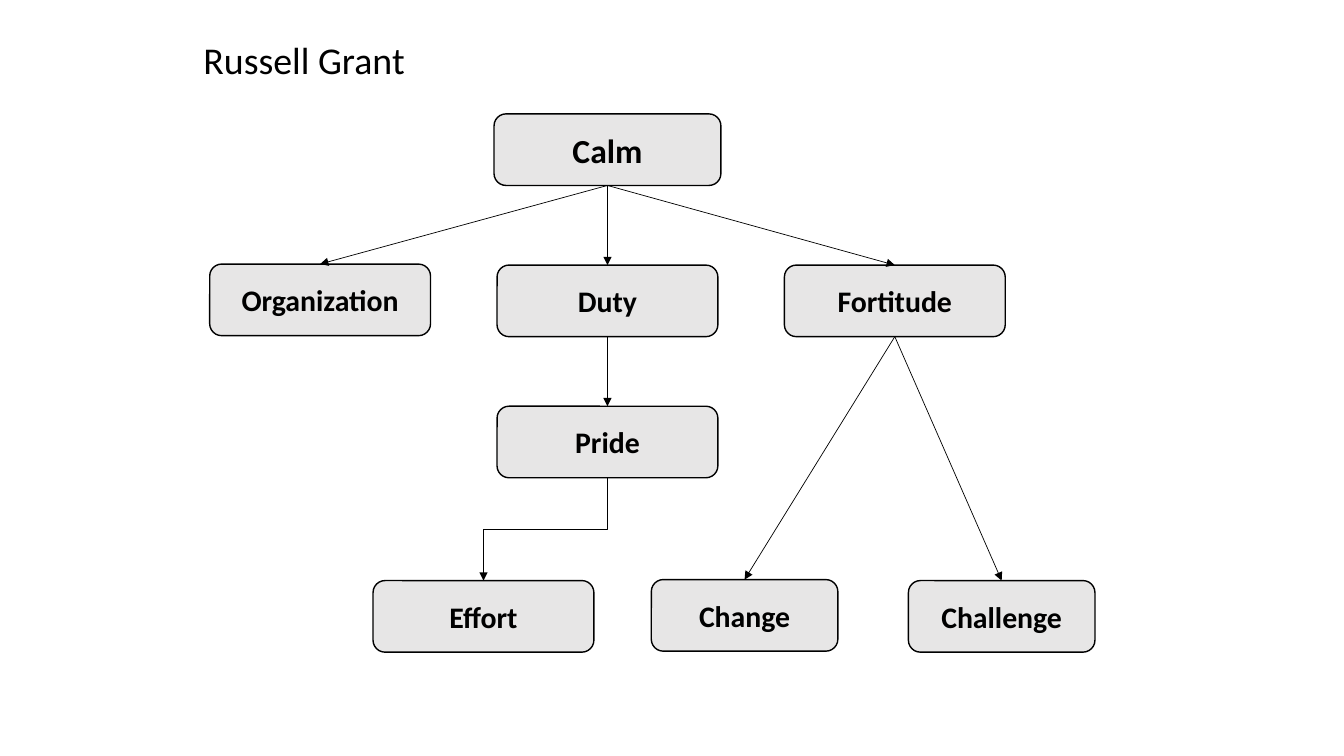
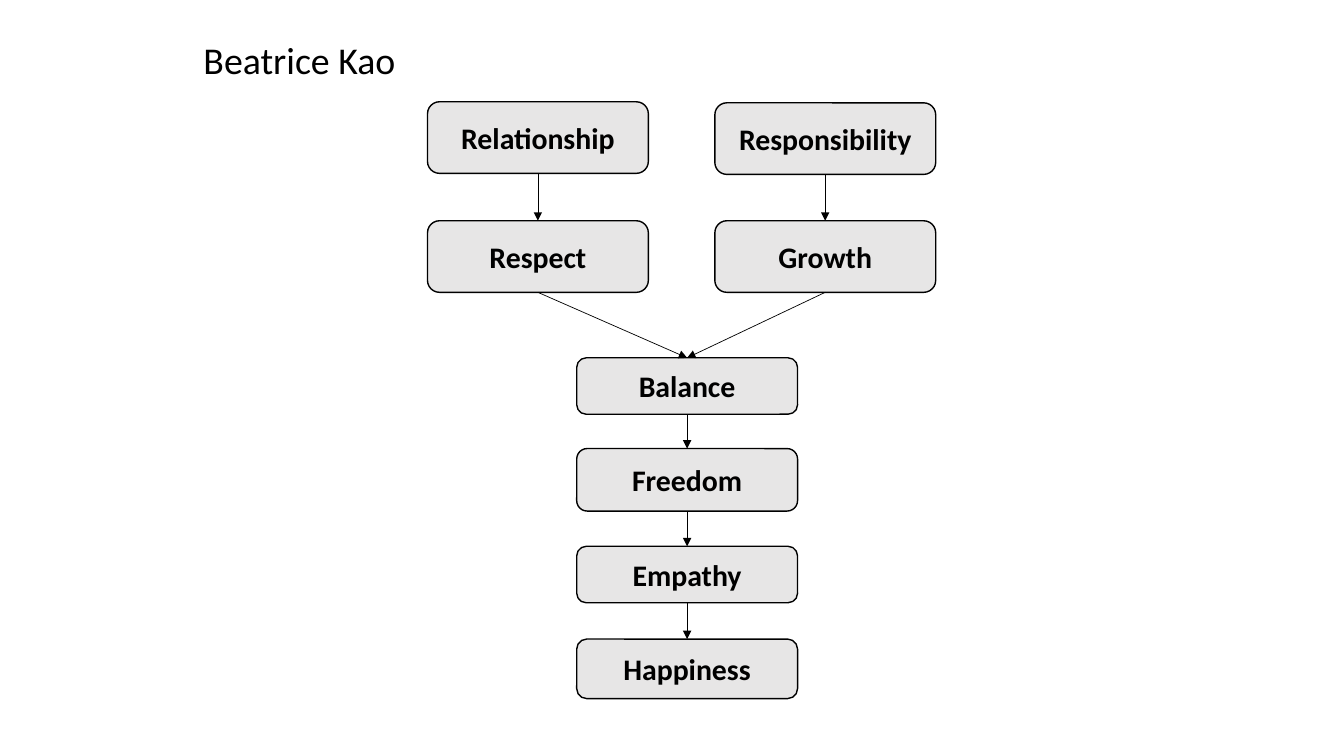
from lxml.etree import SubElement
from pptx import Presentation
from pptx.dml.color import RGBColor
from pptx.enum.shapes import MSO_CONNECTOR, MSO_SHAPE
from pptx.enum.text import MSO_ANCHOR, PP_ALIGN
from pptx.oxml.ns import qn
from pptx.util import Inches, Pt

INK, FILL, FONT = "000000", "E7E6E6", "Calibri"
WIDE, SLIM, TALL = 2.19, 1.85, 0.71
BOTTOM, TOP = 2, 0  # connection sites of a rounded rectangle

# Boxes: text, left, top, width, height, text size
# Arrows: from box, to box, and whether the line is straight
CHARTS = [
    {
        "title": "Russell Grant",
        "boxes": [
            ("Calm", 4.9, 1.13, 2.25, TALL, 24),
            ("Organization", 2.08, 2.62, WIDE, TALL, 21.3),
            ("Duty", 4.93, 2.63, WIDE, TALL, 21.3),
            ("Fortitude", 7.78, 2.63, WIDE, TALL, 21.3),
            ("Pride", 4.93, 4.03, WIDE, TALL, 21.3),
            ("Effort", 3.7, 5.76, WIDE, TALL, 21.3),
            ("Change", 6.46, 5.75, SLIM, TALL, 21.3),
            ("Challenge", 9.01, 5.76, SLIM, TALL, 21.3),
        ],
        "arrows": [
            ("Calm", "Organization", True),
            ("Calm", "Duty", True),
            ("Calm", "Fortitude", True),
            ("Duty", "Pride", True),
            ("Pride", "Effort", False),
            ("Fortitude", "Change", True),
            ("Fortitude", "Challenge", True),
        ],
    },
    {
        "title": "Beatrice Kao",
        "boxes": [
            ("Relationship", 4.24, 1.01, WIDE, TALL, 21.3),
            ("Responsibility", 7.09, 1.02, WIDE, TALL, 21.3),
            ("Respect", 4.24, 2.19, WIDE, TALL, 21.3),
            ("Growth", 7.09, 2.19, WIDE, TALL, 21.3),
            ("Balance", 5.72, 3.55, WIDE, 0.56, 21.3),
            ("Freedom", 5.72, 4.45, WIDE, 0.62, 21.3),
            ("Empathy", 5.72, 5.42, WIDE, 0.56, 21.3),
            ("Happiness", 5.72, 6.34, WIDE, 0.59, 21.3),
        ],
        "arrows": [
            ("Relationship", "Respect", True),
            ("Responsibility", "Growth", True),
            ("Respect", "Balance", True),
            ("Growth", "Balance", True),
            ("Balance", "Freedom", True),
            ("Freedom", "Empathy", True),
            ("Empathy", "Happiness", True),
        ],
    },
]


def color(hex_code):
    return RGBColor.from_string(hex_code)


def write(shape, text, align, **style):
    frame = shape.text_frame
    frame.word_wrap = True
    frame.vertical_anchor = MSO_ANCHOR.MIDDLE
    para = frame.paragraphs[0]
    para.alignment = align
    run = para.add_run()
    run.text = text
    for name, value in {"name": FONT, **style}.items():
        setattr(run.font, name, value)
    run.font.color.rgb = color(INK)


def draw_line(line, width):
    line.color.rgb = color(INK)
    line.width = Pt(width)


def add_title(slide, text):
    box = slide.shapes.add_textbox(*map(Inches, (1.92, 0.32, 7.86, 0.53)))
    write(box, text, PP_ALIGN.LEFT, size=Pt(27))


def add_box(slide, text, left, top, width, height, size):
    place = map(Inches, (left, top, width, height))
    box = slide.shapes.add_shape(MSO_SHAPE.ROUNDED_RECTANGLE, *place)
    box.shadow.inherit = False
    box.fill.solid()
    box.fill.fore_color.rgb = color(FILL)
    draw_line(box.line, 1)
    write(box, text, PP_ALIGN.CENTER, size=Pt(size), bold=True)
    return box


def turn_down(link):
    """Turn an elbow that runs down and left so that it leaves and arrives vertically."""
    mid_x = link.left + link.width // 2
    mid_y = link.top + link.height // 2
    width, height = link.height, link.width
    link.left, link.top = mid_x - width // 2, mid_y - height // 2
    link.width, link.height = width, height
    frame = link._element.spPr.find(qn("a:xfrm"))
    frame.attrib.pop("flipH", None)
    frame.set("rot", str(90 * 60000))


def add_arrow(slide, start, end, straight):
    kind = MSO_CONNECTOR.STRAIGHT if straight else MSO_CONNECTOR.ELBOW
    link = slide.shapes.add_connector(kind, 0, 0, 0, 0)
    link.begin_connect(start, BOTTOM)
    link.end_connect(end, TOP)
    if not straight:
        turn_down(link)
    draw_line(link.line, 0.5)
    props = link._element.spPr
    SubElement(props.find(qn("a:ln")), qn("a:tailEnd"), type="triangle")
    SubElement(props, qn("a:effectLst"))


def main():
    deck = Presentation()
    deck.slide_width, deck.slide_height = Inches(13.33), Inches(7.5)
    for chart in CHARTS:
        slide = deck.slides.add_slide(deck.slide_layouts[6])
        add_title(slide, chart["title"])
        boxes = {item[0]: add_box(slide, *item) for item in chart["boxes"]}
        for start, end, straight in chart["arrows"]:
            add_arrow(slide, boxes[start], boxes[end], straight)
    deck.save("out.pptx")


if __name__ == "__main__":
    main()
